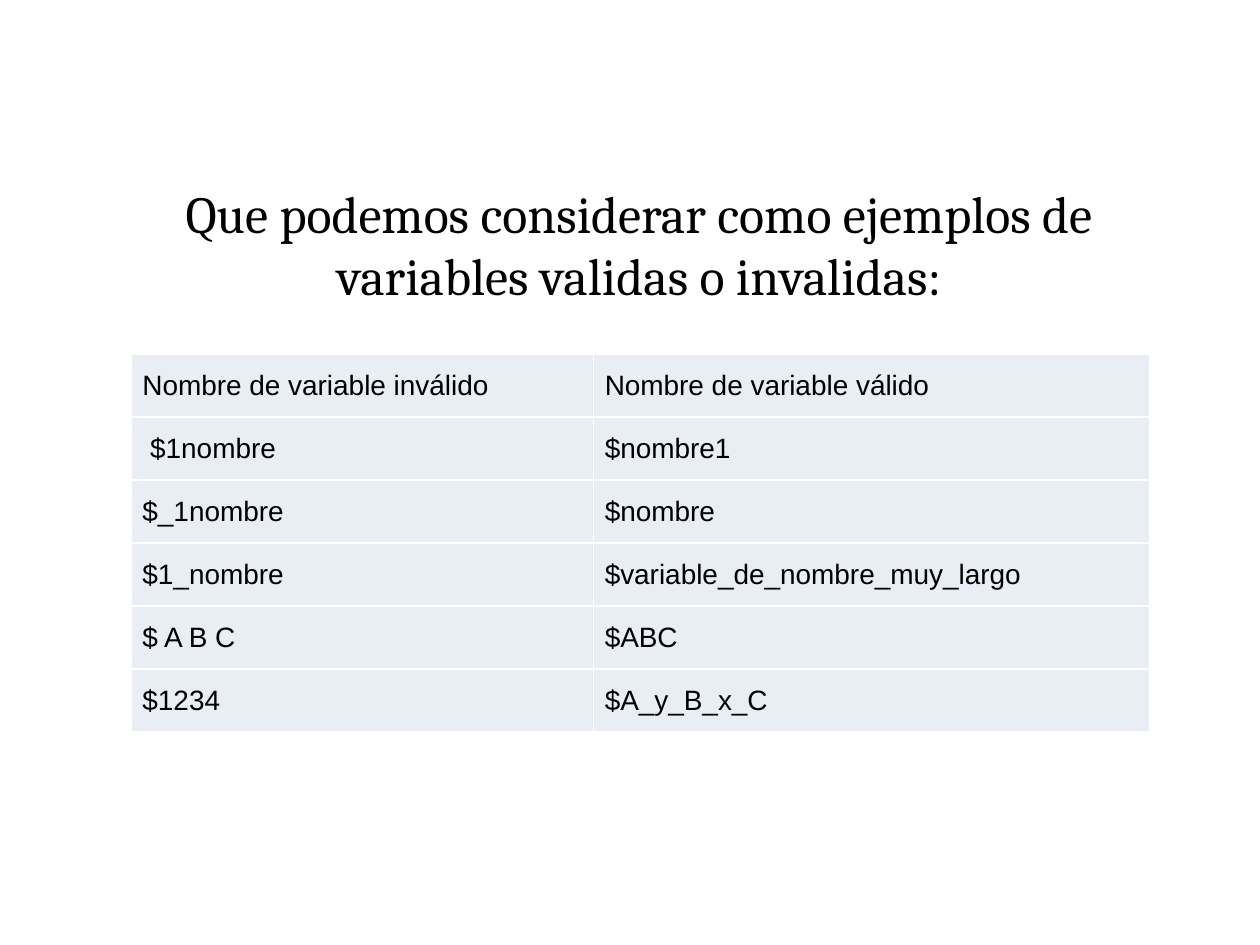
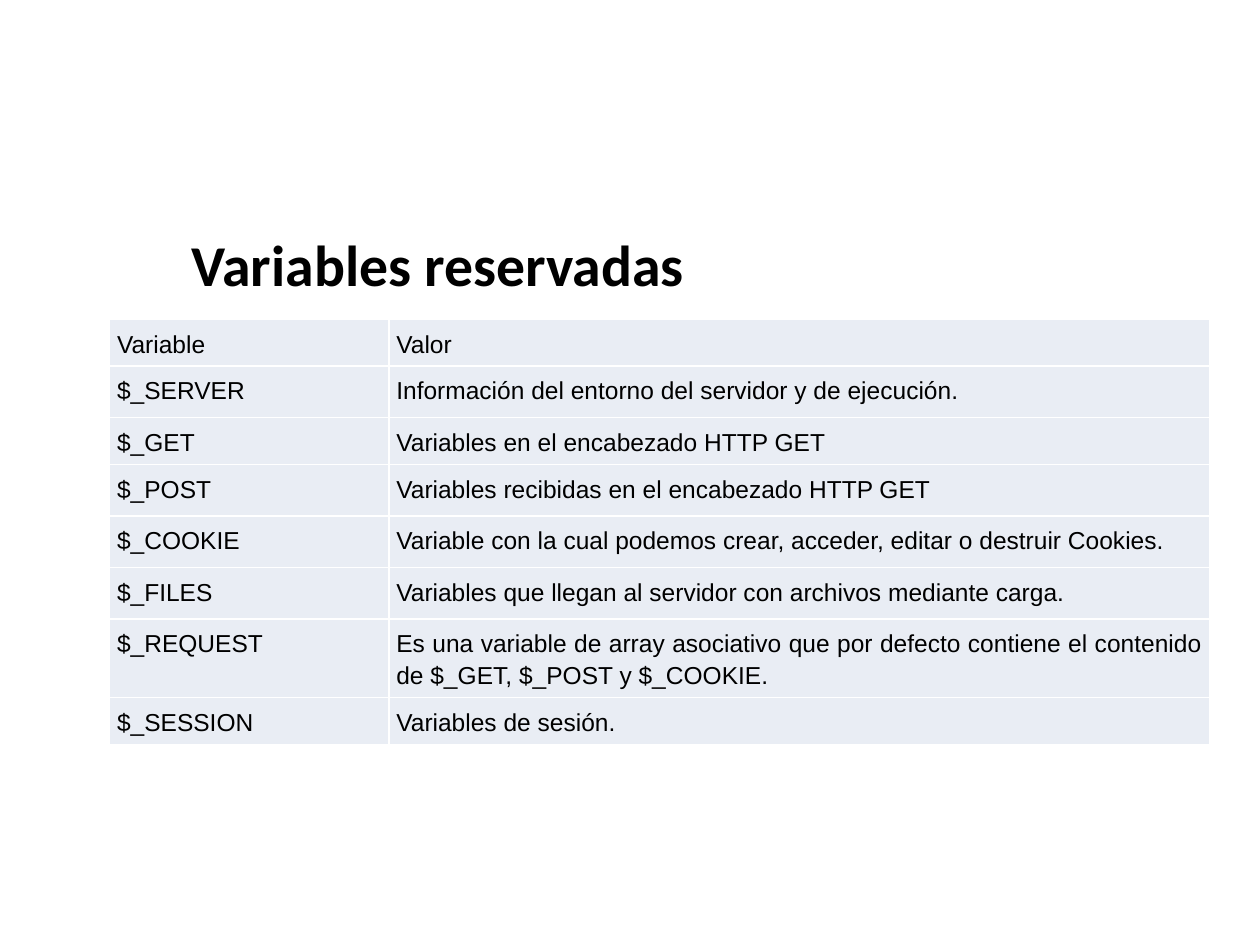
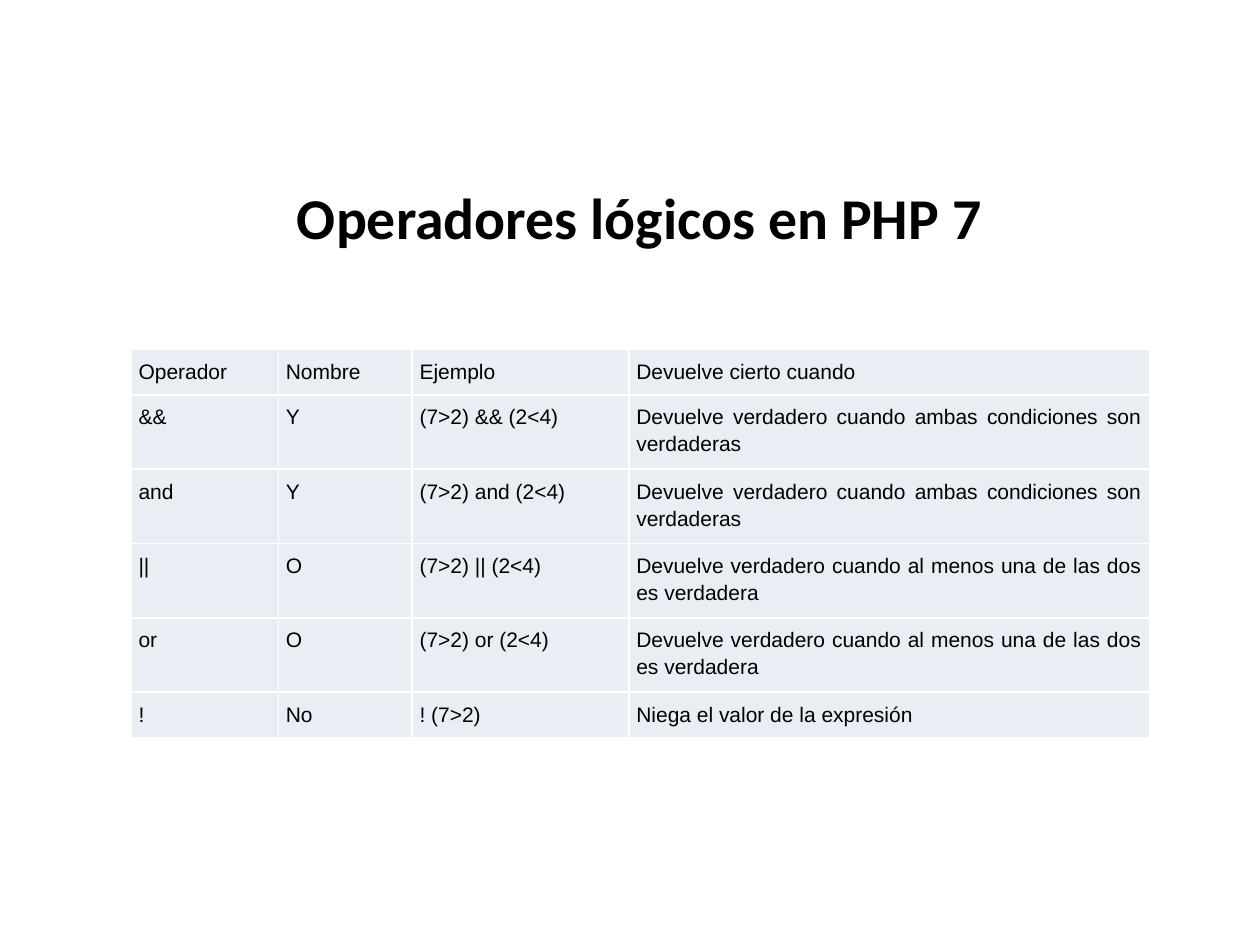
import pptx
import pptx.dml.color
import pptx.enum.text
import pptx.oxml
import pptx.oxml.ns
import pptx.util

Pt = pptx.util.Pt
ALIGN = pptx.enum.text.PP_ALIGN


def color(value):
    return pptx.dml.color.RGBColor.from_string(value)


def set_text(tf, text, font="Arial", size=16, bold=False, ink="000000",
             align=ALIGN.JUSTIFY, spacing=1.15):
    p = tf.paragraphs[0]
    p.alignment = align
    p.line_spacing = spacing
    r = p.add_run()
    r.text = text
    r.font.name = font
    r.font.size = Pt(size)
    r.font.bold = bold
    r.font.color.rgb = color(ink)


class Deck:
    CELL_FILL = "E9EDF4"
    BORDER = "FFFFFF"
    TITLE_BOX = (74.2, 100.1, 582.5, 78.5)

    def __init__(self):
        self.prs = pptx.Presentation()
        self.prs.slide_width = Pt(720)
        self.prs.slide_height = Pt(540)
        self.s = None

    def slide(self):
        self.s = self.prs.slides.add_slide(self.prs.slide_layouts[5])

    def title(self, text, box=TITLE_BOX, font="Calibri", size=33, bold=True):
        sp = self.s.shapes.title
        sp.left, sp.top, sp.width, sp.height = map(Pt, box)
        tf = sp.text_frame
        tf.word_wrap = True
        tf.auto_size = pptx.enum.text.MSO_AUTO_SIZE.NONE
        tf.vertical_anchor = pptx.enum.text.MSO_ANCHOR.TOP
        set_text(tf, text, font=font, size=size, bold=bold,
                 align=ALIGN.CENTER, spacing=1.0)

    def table(self, left, top, widths, heights, rows, size, inset=4.3):
        frame = self.s.shapes.add_table(
            len(rows), len(widths), Pt(left), Pt(top),
            Pt(sum(widths)), Pt(sum(heights)))
        tbl = frame.table
        tbl.first_row = tbl.horz_banding = False
        for col, width in zip(tbl.columns, widths):
            col.width = Pt(width)
        for row, height, texts in zip(tbl.rows, heights, rows):
            row.height = Pt(height)
            for cell, text in zip(row.cells, texts):
                self.cell(cell, text, size, inset)

    def cell(self, cell, text, size, inset):
        cell.margin_left = cell.margin_right = Pt(inset)
        cell.margin_top = cell.margin_bottom = Pt(inset)
        cell.fill.solid()
        cell.fill.fore_color.rgb = color(self.CELL_FILL)
        set_text(cell.text_frame, text, size=size)
        tcPr = cell._tc.get_or_add_tcPr()
        for i, side in enumerate("LRTB"):
            tcPr.insert(i, pptx.oxml.parse_xml(
                f'<a:ln{side} {pptx.oxml.ns.nsdecls("a")} w="{Pt(1)}">'
                f'<a:solidFill><a:srgbClr val="{self.BORDER}"/></a:solidFill>'
                f'</a:ln{side}>'))


def main():
    deck = Deck()

    deck.slide()
    deck.title("Que podemos considerar como ejemplos de variables validas o invalidas:",
               font="Cambria", size=29.7, bold=False)
    names = [
        ("Nombre de variable inválido", "Nombre de variable válido"),
        (" $1nombre", "$nombre1"),
        ("$_1nombre", "$nombre"),
        ("$1_nombre", "$variable_de_nombre_muy_largo"),
        ("$ A B C", "$ABC"),
        ("$1234", "$A_y_B_x_C"),
    ]
    deck.table(74.9, 202.3, [264.2, 317.7], [36] * len(names), names,
               size=16, inset=6.5)

    deck.slide()
    deck.title("Variables reservadas", box=(51.1, 127.4, 398.2, 283))
    reserved = [
        ("Variable", "Valor"),
        ("$_SERVER", "Información del entorno del servidor y de ejecución."),
        ("$_GET", "Variables en el encabezado HTTP GET"),
        ("$_POST", "Variables recibidas en el encabezado HTTP GET"),
        ("$_COOKIE", "Variable con la cual podemos crear, acceder, editar o destruir Cookies."),
        ("$_FILES", "Variables que llegan al servidor con archivos mediante carga."),
        ("$_REQUEST", "Es una variable de array asociativo que por defecto contiene "
                      "el contenido de $_GET, $_POST y $_COOKIE."),
        ("$_SESSION", "Variables de sesión."),
    ]
    low, mid, high = 26.6, 29.5, 44.9
    deck.table(62.6, 182.5, [159.6, 469.2],
               [low, mid, low, mid, mid, mid, high, low], reserved, size=14)

    deck.slide()
    deck.title("Operadores lógicos en PHP 7")
    both = "Devuelve verdadero cuando ambas condiciones son verdaderas"
    either = "Devuelve verdadero cuando al menos una de las dos es verdadera"
    operators = [("Operador", "Nombre", "Ejemplo", "Devuelve cierto cuando")]
    for op, name, result in [("&&", "Y", both), ("and", "Y", both),
                             ("||", "O", either), ("or", "O", either)]:
        operators.append((op, name, f"(7>2) {op} (2<4)", result))
    operators.append(("!", "No", "! (7>2)", "Niega el valor de la expresión"))
    deck.table(74.9, 199.7, [84.2, 76.4, 123.9, 297.4],
               [25.9, *[42.5] * 4, 25.9], operators, size=12)

    deck.prs.save("out.pptx")


if __name__ == "__main__":
    main()
